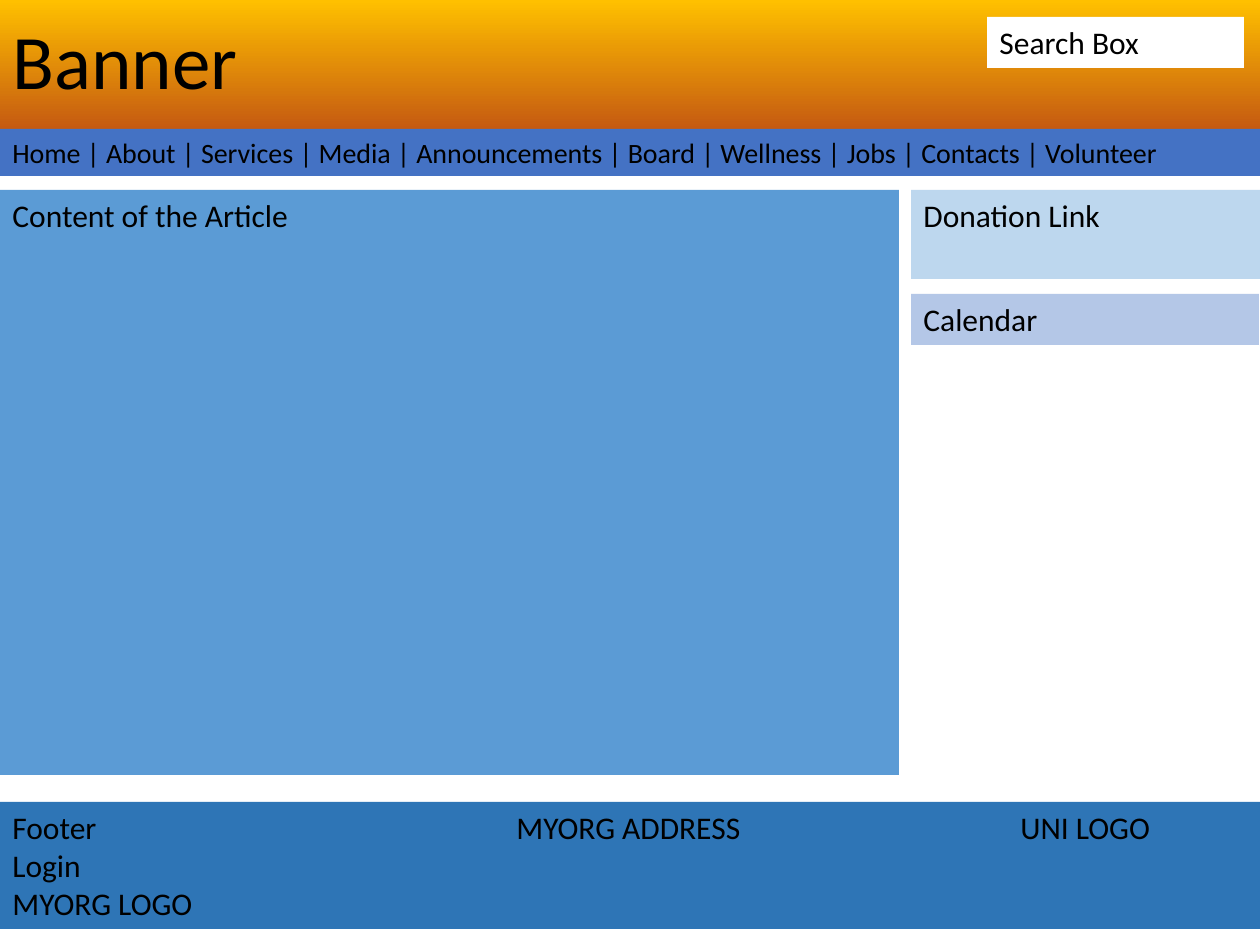
from dataclasses import dataclass

from lxml.etree import SubElement
from pptx import Presentation
from pptx.dml.color import RGBColor
from pptx.enum.text import MSO_ANCHOR as Anchor, MSO_AUTO_SIZE as AutoSize, PP_ALIGN as Align
from pptx.oxml.ns import qn
from pptx.slide import Slide
from pptx.util import Pt

SCALE = 914400 / 126
WIDTH, HEIGHT = 1260, 945
SIDE_LEFT, BODY_TOP = 911, 190
FOOTER_STOPS = (504, 1008)
COLOURS = {
    "text": "000000",
    "banner top": "FFC000",
    "banner bottom": "C55A11",
    "search": "FFFFFF",
    "menu": "4472C4",
    "article": "5B9BD5",
    "donation": "BDD7EE",
    "calendar": "B4C7E7",
    "footer": "2E75B6",
}
MENU = ("Home", "About", "Services", "Media", "Announcements",
        "Board", "Wellness", "Jobs", "Contacts", "Volunteer")
FOOTER = ("Footer\tMYORG ADDRESS\tUNI LOGO", "Login", "MYORG LOGO")


def px(length):
    return round(length * SCALE)


def colour(name):
    return RGBColor.from_string(COLOURS[name])


@dataclass
class Wireframe:
    """Draws the blocks of a web page layout on one slide."""

    page: Slide
    font: str = "Calibri"

    def place(self, box, left, top, width, height):
        box.left, box.top, box.width, box.height = map(px, (left, top, width, height))

    def set_text(self, box, lines, size, stops=()):
        frame = box.text_frame
        frame.text = "\n".join(lines)
        frame.word_wrap = True
        frame.auto_size = AutoSize.NONE
        for para in frame.paragraphs:
            para.alignment = Align.LEFT
            if stops:
                tabs = SubElement(para._p.get_or_add_pPr(), qn("a:tabLst"))
                for stop in stops:
                    SubElement(tabs, qn("a:tab"), pos=str(px(stop)), algn="l")
            para.font.name = self.font
            para.font.size = Pt(size)
            para.font.color.rgb = colour("text")

    def banner(self, text, *place):
        box = self.page.shapes.title
        self.place(box, *place)
        box.fill.gradient()
        box.fill.gradient_angle = 270
        ends = ("banner top", "banner bottom")
        for stop, name, position in zip(box.fill.gradient_stops, ends, (0, 1)):
            stop.color.rgb = colour(name)
            stop.position = position
        self.set_text(box, [text], 44)
        box.text_frame.vertical_anchor = Anchor.MIDDLE
        box.text_frame.paragraphs[0].line_spacing = 0.9

    def block(self, name, lines, *place, size=18, stops=()):
        box = self.page.shapes.add_textbox(0, 0, 0, 0)
        self.place(box, *place)
        box.fill.solid()
        box.fill.fore_color.rgb = colour(name)
        self.set_text(box, lines, size, stops)


def main():
    deck = Presentation()
    deck.slide_width, deck.slide_height = px(WIDTH), px(HEIGHT)
    site = Wireframe(deck.slides.add_slide(deck.slide_layouts[5]))
    site.banner("Banner", 0, 0, WIDTH, 129)
    site.block("search", ["Search Box"], 987, 17, 257, 51)
    site.block("menu", [" | ".join(MENU)], 0, 129, WIDTH, 47, size=16)
    site.block("article", ["Content of the Article"], 0, BODY_TOP, 899, 585)
    site.block("donation", ["Donation Link"], SIDE_LEFT, BODY_TOP, WIDTH - SIDE_LEFT, 89)
    site.block("footer", FOOTER, 0, 802, WIDTH, 127, stops=FOOTER_STOPS)
    site.block("calendar", ["Calendar"], SIDE_LEFT, 294, 348, 51)
    deck.save("out.pptx")


if __name__ == "__main__":
    main()
